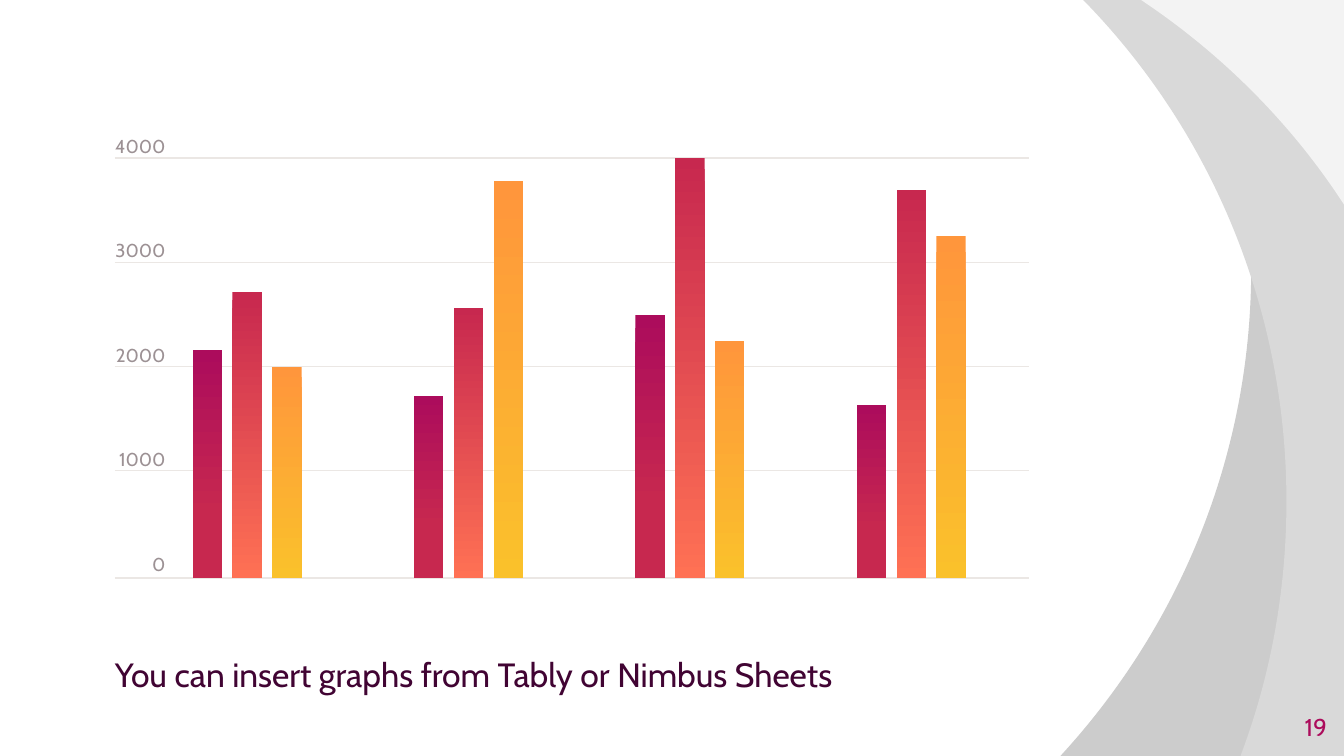
"""Build a slide with a gradient bar graph, a caption and curved side bands."""
from lxml import etree
from pptx import Presentation
from pptx.dml.color import RGBColor
from pptx.enum.shapes import MSO_CONNECTOR, MSO_SHAPE
from pptx.enum.text import MSO_ANCHOR, MSO_AUTO_SIZE, PP_ALIGN
from pptx.oxml.ns import qn
from pptx.util import Pt

RECT, STRAIGHT = MSO_SHAPE.RECTANGLE, MSO_CONNECTOR.STRAIGHT
TOP, MIDDLE = MSO_ANCHOR.TOP, MSO_ANCHOR.MIDDLE
LEFT, RIGHT = PP_ALIGN.LEFT, PP_ALIGN.RIGHT
NO_AUTOFIT = MSO_AUTO_SIZE.NONE

DARK_GRAY = RGBColor(0xCC, 0xCC, 0xCC)
MID_GRAY = RGBColor(0xD9, 0xD9, 0xD9)
PALE_GRAY = RGBColor(0xF3, 0xF3, 0xF3)
GRID = RGBColor(0xEB, 0xE7, 0xE4)
LABEL = RGBColor(0x9C, 0x91, 0x94)
PLUM = RGBColor(0x41, 0x04, 0x33)
MAGENTA = RGBColor(0xAC, 0x0C, 0x5C)
CRIMSON = RGBColor(0xC7, 0x28, 0x4F)
CORAL = RGBColor(0xFF, 0x71, 0x54)
ORANGE = RGBColor(0xFF, 0x96, 0x3C)
YELLOW = RGBColor(0xFA, 0xC1, 0x2B)

WIDTH, HEIGHT = 720, 405
GRID_LEFT, GRID_RIGHT = 61.5, 551.1
GRID_TOPS = (84.7, 140.6, 196.4, 252, 309.7)
BASE, PLOT_HEIGHT, TOP_VALUE = 309.7, 225.1, 4000
BAR_LEFT, BAR_WIDTH, BAR_STEP, GROUP_STEP = 103.2, 15.8, 21.3, 118.6


def write(s, lines, size, color, align, anchor=TOP, **spacing):
    """Fill a text shape with one paragraph per line."""
    tf = s.text_frame
    frame_format = dict(word_wrap=True, auto_size=NO_AUTOFIT, vertical_anchor=anchor,
                        margin_left=0, margin_right=0, margin_top=0, margin_bottom=0)
    for name, value in frame_format.items():
        setattr(tf, name, value)
    for i, line in enumerate(lines):
        p = tf.paragraphs[0] if i == 0 else tf.add_paragraph()
        pPr = p._p.get_or_add_pPr()
        pPr.set("marL", "0")
        pPr.set("indent", "0")
        etree.SubElement(pPr, qn("a:buNone"))
        p.alignment = align
        for name, value in spacing.items():
            setattr(p, name, value)
        if i == 0:
            p.space_before = Pt(0)
        r = p.add_run()
        r.text = line
        r.font.name, r.font.size = "Cabin", Pt(size)
        r.font.color.rgb = color


prs = Presentation()
prs.slide_width, prs.slide_height = Pt(WIDTH), Pt(HEIGHT)
slide = prs.slides.add_slide(prs.slide_layouts[1])
title = slide.shapes.title
title._element.getparent().remove(title._element)

bottom_right, top_right = (WIDTH, HEIGHT), (WIDTH, 0)
bands = (
    (DARK_GRAY, (642.2, 0),
     [(661, 46), (670.3, 94.5), (670.3, 144), (670.3, 244.8), (631.4, 336.2), (568.1, HEIGHT)],
     [bottom_right, top_right]),
    (MID_GRAY, (580.3, 0),
     [(648, 69.1), (689.2, 164.2), (689.2, 268.6), (689.2, 315.4), (681.1, 361.4), (664.6, HEIGHT)],
     [bottom_right, top_right]),
    (PALE_GRAY, (611.3, 0),
     [(654.5, 28.8), (691.9, 66.2), (WIDTH, 109.6)],
     [top_right]),
)
for color, start, curve_points, corners in bands:
    builder = slide.shapes.build_freeform(Pt(start[0]), Pt(start[1]))
    builder.add_line_segments([(Pt(x), Pt(y)) for x, y in curve_points + corners], close=True)
    s = builder.convert_to_shape()
    s.shadow.inherit = False
    s.fill.solid()
    s.fill.fore_color.rgb = color
    s.line.fill.background()
    outline = s._element.find(".//" + qn("a:path"))
    segments = outline.findall(qn("a:lnTo"))
    for i in range(0, len(curve_points), 3):
        curve = etree.Element(qn("a:cubicBezTo"))
        segments[i].addprevious(curve)
        for segment in segments[i:i + 3]:
            curve.append(segment[0])
            outline.remove(segment)

caption = slide.placeholders[1]
caption.left, caption.top, caption.width, caption.height = Pt(61.5), Pt(347), Pt(510), Pt(41)
write(caption, ["You can insert graphs from Tably or Nimbus Sheets"], 18, PLUM, LEFT,
      line_spacing=1.15, space_after=Pt(8))

number = slide.shapes.add_textbox(Pt(667.7), Pt(374), Pt(43.2), Pt(31))
write(number, ["19"], 13, MAGENTA, RIGHT, MIDDLE)

for y in GRID_TOPS:
    s = slide.shapes.add_connector(STRAIGHT, Pt(GRID_LEFT), Pt(y), Pt(GRID_RIGHT), Pt(y))
    s.line.color.rgb = GRID
    s.line.width = Pt(0.75)
    etree.SubElement(s._element.spPr, qn("a:effectLst"))

axis = slide.shapes.add_textbox(Pt(61.2), Pt(72), Pt(27.4), Pt(238))
write(axis, ["4000", "3000", "2000", "1000", "0"], 10, LABEL, RIGHT, space_before=Pt(44))
axis.text_frame.paragraphs[-1].space_after = Pt(44)

series = (
    (MAGENTA, CRIMSON, 0.72, (2170, 1735, 2505, 1650)),
    (CRIMSON, CORAL, 1, (2720, 2570, 4000, 3695)),
    (ORANGE, YELLOW, 1, (2010, 3780, 2255, 3255)),
)
for group in range(4):
    for i, (start, end, end_position, values) in enumerate(series):
        height = values[group] / TOP_VALUE * PLOT_HEIGHT
        x = BAR_LEFT + group * GROUP_STEP + i * BAR_STEP
        s = slide.shapes.add_shape(RECT, Pt(x), Pt(BASE - height), Pt(BAR_WIDTH), Pt(height))
        s.shadow.inherit = False
        s.line.fill.background()
        s.fill.gradient()
        s.fill.gradient_angle = 270
        first, last = s.fill.gradient_stops
        first.color.rgb, first.position = start, 0
        last.color.rgb, last.position = end, end_position

prs.save("out.pptx")
